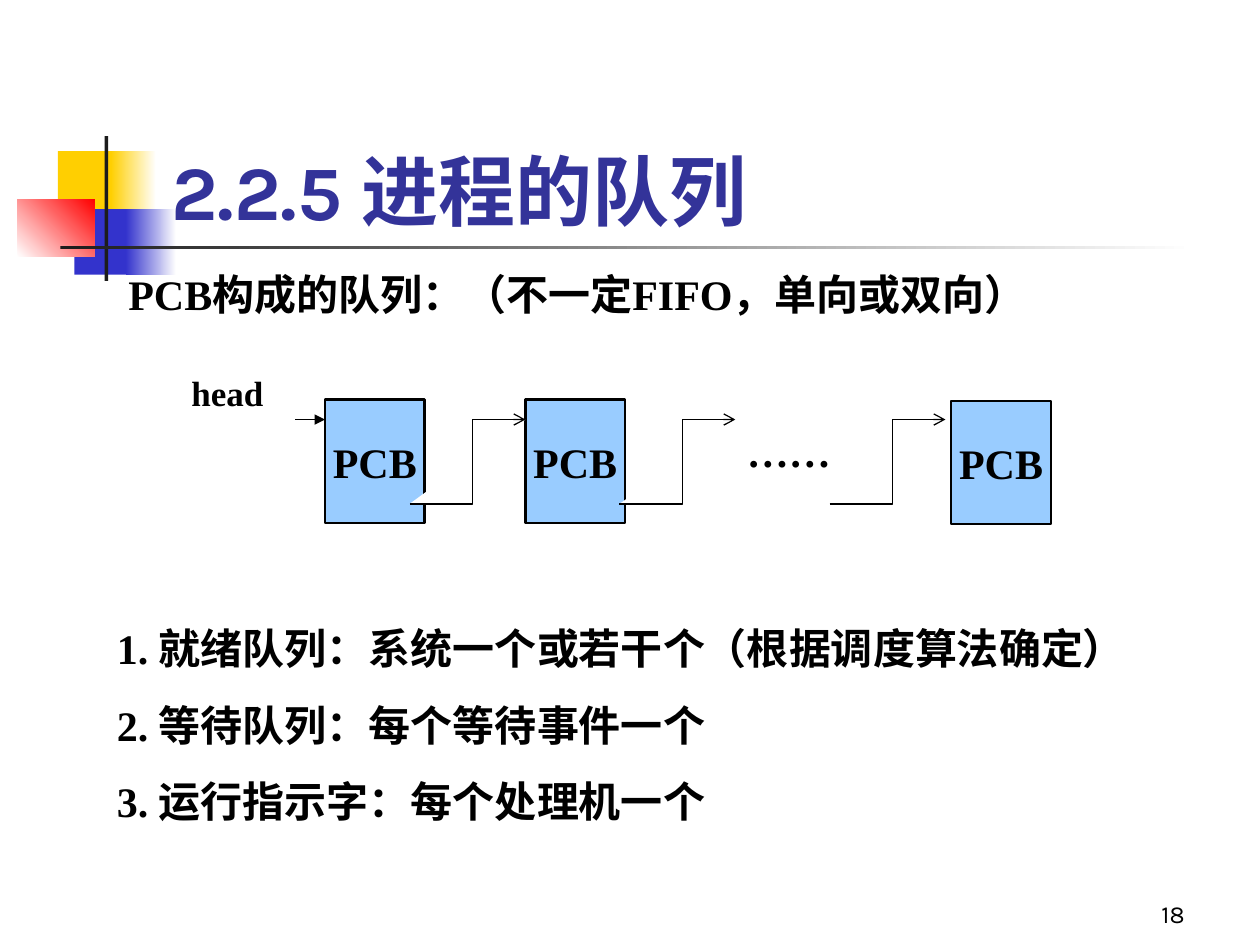
import pptx
import pptx.dml.color
import pptx.enum.shapes
import pptx.enum.text
import pptx.oxml.ns
import pptx.util
from lxml import etree

Inches = pptx.util.Inches
Pt = pptx.util.Pt
ALIGN = pptx.enum.text.PP_ALIGN
ANCHOR = pptx.enum.text.MSO_ANCHOR
RECTANGLE = pptx.enum.shapes.MSO_SHAPE.RECTANGLE
STRAIGHT = pptx.enum.shapes.MSO_CONNECTOR.STRAIGHT
qn = pptx.oxml.ns.qn


def rgb(value):
    return pptx.dml.color.RGBColor.from_string(value)


def apply(target, values):
    for name, value in values.items():
        setattr(target, name, value)


class QueueSlide:
    ink = "000000"
    paper = "FFFFFF"
    box_fill = "99CCFF"
    body = {"name": "Times New Roman", "size": Pt(24), "bold": True}
    title = {"name": "Karla", "size": Pt(44), "bold": True}
    number = {"name": "Karla", "size": Pt(14), "bold": False}
    insets = {
        "margin_left": Inches(0.1),
        "margin_right": Inches(0.1),
        "margin_top": Inches(0.05),
        "margin_bottom": Inches(0.05),
    }

    def __init__(self, slide):
        self.shapes = slide.shapes

    def bar(self, place, *colours, angle=0):
        bar = self.shapes.add_shape(RECTANGLE, *map(Inches, place))
        bar.shadow.inherit = False
        bar.line.fill.background()
        if len(colours) == 1:
            bar.fill.solid()
            bar.fill.fore_color.rgb = rgb(colours[0])
        else:
            bar.fill.gradient()
            bar.fill.gradient_angle = angle
            for stop, colour in zip(bar.fill.gradient_stops, colours):
                stop.color.rgb = rgb(colour)
        return bar

    def fill_text(self, holder, lines, font, colour=ink, align=ALIGN.LEFT,
                  anchor=ANCHOR.TOP, wrap=True):
        frame = holder.text_frame
        apply(frame, {**self.insets, "word_wrap": wrap, "vertical_anchor": anchor})
        frame.text = "\n".join(lines)
        for index, paragraph in enumerate(frame.paragraphs):
            paragraph.alignment = align
            if index:
                paragraph.space_before = Pt(15)
            apply(paragraph.font, font)
            paragraph.font.color.rgb = rgb(colour)

    def text(self, place, lines, font, **options):
        holder = self.shapes.add_textbox(*map(Inches, place))
        self.fill_text(holder, lines, font, **options)

    def label(self, place, words, size):
        font = {**self.body, "size": Pt(size)}
        self.fill_text(self.bar(place, self.paper), [words], font)

    def block(self, left, top):
        block = self.bar((left, top, 0.79, 0.98), self.box_fill)
        self.outline(block, 1.25)
        self.fill_text(block, ["PCB"], self.body, align=ALIGN.CENTER,
                       anchor=ANCHOR.MIDDLE, wrap=False)

    def outline(self, shape, width, arrowhead=None):
        shape.line.color.rgb = rgb(self.ink)
        shape.line.width = Pt(width)
        if arrowhead:
            line = shape.element.spPr.find(qn("a:ln"))
            etree.SubElement(line, qn("a:tailEnd"), type=arrowhead)

    def arrow(self, start, end):
        arrow = self.shapes.add_connector(STRAIGHT, *map(Inches, start + end))
        self.outline(arrow, 0.75, "triangle")
        etree.SubElement(arrow.element.spPr, qn("a:effectLst"))

    def link(self, left, top, bottom):
        builder = self.shapes.build_freeform(Inches(left), Inches(bottom))
        turns = [(left + 0.5, bottom), (left + 0.5, top), (left + 0.92, top)]
        builder.add_line_segments(
            [(Inches(x), Inches(y)) for x, y in turns], close=False)
        link = builder.convert_to_shape()
        link.shadow.inherit = False
        link.fill.solid()
        link.fill.fore_color.rgb = rgb(self.paper)
        self.outline(link, 0.75, "arrow")


def main():
    deck = pptx.Presentation()
    deck.slide_width, deck.slide_height = Inches(10), Inches(7.5)
    page = QueueSlide(deck.slides.add_slide(deck.slide_layouts[6]))

    yellow, blue, red, dark, white = "FFCF01", "3333CC", "FF0000", "1C1C1C", "FFFFFF"
    page.bar((0.46, 1.2, 0.48, 0.52), yellow)
    page.bar((0.88, 1.2, 0.36, 0.52), yellow, white)
    page.bar((0.59, 1.66, 0.46, 0.52), blue)
    page.bar((1, 1.66, 0.4, 0.52), blue, white)
    page.bar((0.14, 1.58, 0.61, 0.46), white, red, angle=45)
    page.bar((0.83, 1.08, 0.03, 1.15), dark)
    page.bar((0.48, 1.95, 9, 0.03), dark, white)

    page.text((1.26, 0.67, 8.52, 1.25), ["2.2.5 进程的队列"], page.title,
              colour="333399", anchor=ANCHOR.BOTTOM)

    for left, top in [(2.58, 3.17), (4.17, 3.17), (7.55, 3.18)]:
        page.block(left, top)
    link_top = 3.33
    page.arrow((1.83, link_top), (2.58, link_top))
    for step in range(3):
        page.link(3.25 + step * 5 / 3, link_top, 4)
    page.label((5.83, 3.33, 1.08, 0.5), "……", 24)
    page.label((1.42, 2.9, 0.92, 0.44), "head", 20)

    queues = [
        "1. 就绪队列：系统一个或若干个（根据调度算法确定）",
        "2. 等待队列：每个等待事件一个",
        "3. 运行指示字：每个处理机一个",
    ]
    page.text((0.83, 4.89, 8.25, 2.12), queues, page.body)
    page.text((0.92, 2.08, 7.79, 0.5),
              ["PCB构成的队列：（不一定FIFO，单向或双向）"], page.body)
    page.text((7.42, 6.92, 2.08, 0.5), ["18"], page.number,
              align=ALIGN.RIGHT, anchor=ANCHOR.BOTTOM)

    deck.save("out.pptx")


if __name__ == "__main__":
    main()
